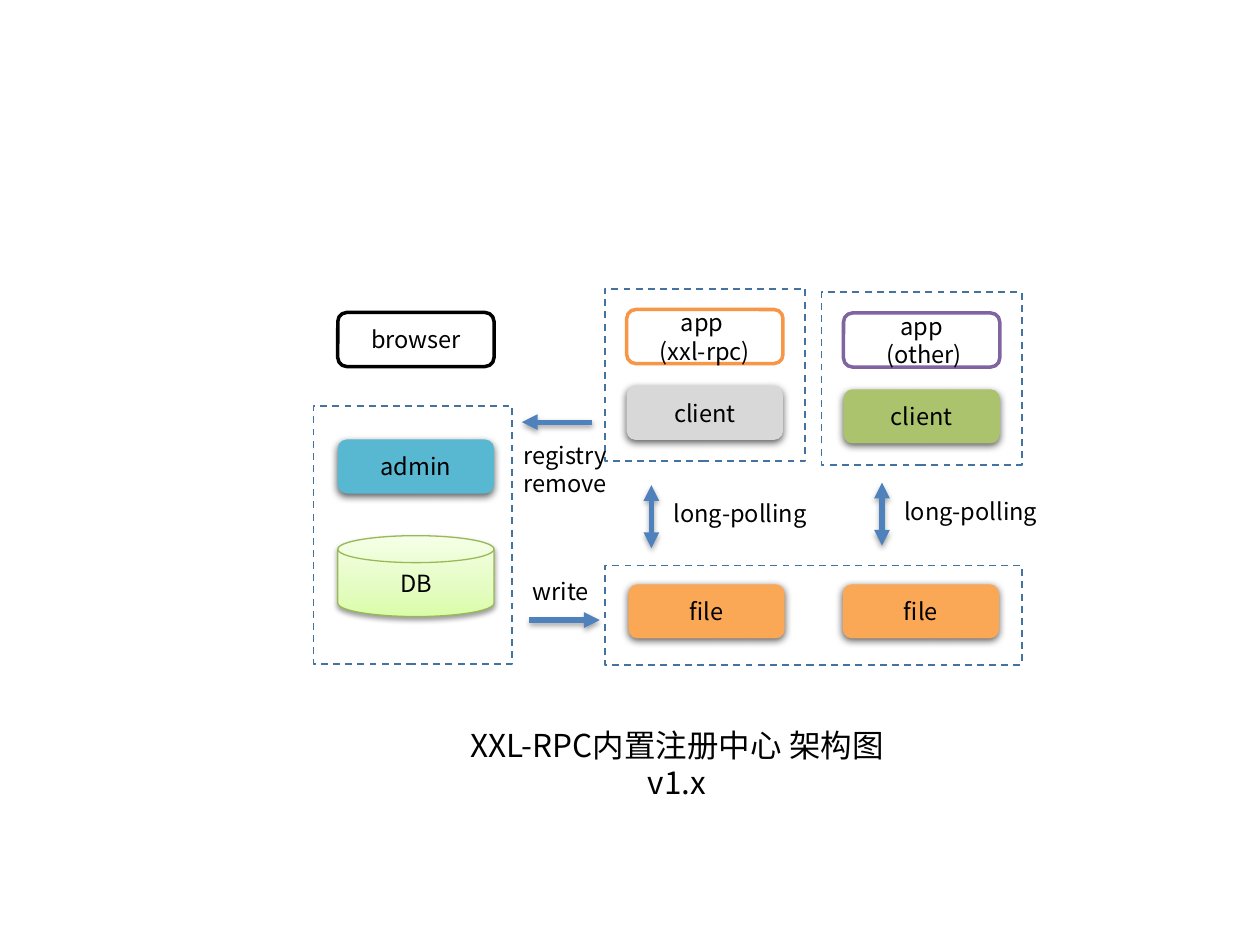
from copy import deepcopy

from lxml.etree import SubElement
from pptx import Presentation
from pptx.dml.color import RGBColor
from pptx.enum.dml import MSO_LINE
from pptx.enum.shapes import MSO_CONNECTOR, MSO_SHAPE
from pptx.enum.text import MSO_ANCHOR, MSO_AUTO_SIZE, PP_ALIGN
from pptx.oxml.ns import qn
from pptx.util import Cm, Pt

FONT = "Noto Sans CJK SC"
NODE_WIDTH, NODE_HEIGHT = 3.15, 1.09
NODE_SHADOW = (63, 4.5, 1.5)
DISK_SHADOW = (38, 3.1, 1.6)
ARROW_SHADOW = (35, 3.1, 1.8)


def color(value):
    return RGBColor.from_string(value)


def write_text(frame, text, size=13.5, align=PP_ALIGN.CENTER,
               anchor=MSO_ANCHOR.MIDDLE, wrap=True):
    frame.word_wrap = wrap
    frame.vertical_anchor = anchor
    if not wrap:
        frame.auto_size = MSO_AUTO_SIZE.SHAPE_TO_FIT_TEXT
    frame.text = text
    for paragraph in frame.paragraphs:
        paragraph.alignment = align
        paragraph.line_spacing = Pt(round(size * 1.2, 1))
        for run in paragraph.runs:
            run.font.size = Pt(size)
            run.font.name = FONT
            run.font.color.rgb = color("000000")
            SubElement(run.font._element, qn("a:ea"), typeface=FONT)


def add_shadow(properties, opacity, blur, distance):
    """Drop a black shadow straight down; blur and distance are in points."""
    effects = properties.find(qn("a:effectLst"))
    if effects is None:
        effects = SubElement(properties, qn("a:effectLst"))
    shadow = SubElement(effects, qn("a:outerShdw"), blurRad=str(Pt(blur)),
                        dist=str(Pt(distance)), dir="5400000", rotWithShape="0")
    black = SubElement(shadow, qn("a:srgbClr"), val="000000")
    SubElement(black, qn("a:alpha"), val=str(opacity * 1000))


def add_node(slide, text, left, top, fill="FFFFFF", line=None, line_width=2,
             height=NODE_HEIGHT, kind=MSO_SHAPE.FLOWCHART_ALTERNATE_PROCESS, shadow=None):
    shape = slide.shapes.add_shape(kind, Cm(left), Cm(top), Cm(NODE_WIDTH), Cm(height))
    shape.shadow.inherit = False
    shape.fill.solid()
    shape.fill.fore_color.rgb = color(fill)
    if line:
        shape.line.color.rgb = color(line)
        shape.line.width = Pt(line_width)
    else:
        shape.line.fill.background()
    if shadow:
        add_shadow(shape._element.spPr, *shadow)
    write_text(shape.text_frame, text)
    return shape


def add_frame(slide, left, top, width, height):
    frame = slide.shapes.add_shape(MSO_SHAPE.RECTANGLE, Cm(left), Cm(top), Cm(width), Cm(height))
    frame.shadow.inherit = False
    frame.fill.background()
    frame.line.color.rgb = color("43739E")
    frame.line.width = Pt(1)
    frame.line.dash_style = MSO_LINE.DASH


def add_arrow(slide, start, end, both_ends=False):
    """Draw an arrow with its head at the start, or at both ends."""
    arrow = slide.shapes.add_connector(MSO_CONNECTOR.STRAIGHT, *map(Cm, start + end))
    arrow.line.color.rgb = color("4F81BD")
    arrow.line.width = Pt(3)
    line = arrow.line._get_or_add_ln()
    for tag in ("a:headEnd", "a:tailEnd")[:2 if both_ends else 1]:
        SubElement(line, qn(tag), type="triangle")
    add_shadow(arrow._element.spPr, *ARROW_SHADOW)


def add_label(slide, text, left, top, width, height=0.84):
    label = slide.shapes.add_textbox(Cm(left), Cm(top), Cm(width), Cm(height))
    write_text(label.text_frame, text, align=PP_ALIGN.LEFT, anchor=MSO_ANCHOR.TOP, wrap=False)


def add_registry_center(slide, left, top, width, height):
    add_frame(slide, left, top, width, height)
    inner = left + 0.49
    add_node(slide, "browser", inner, top - 1.88, line="000000")
    add_node(slide, "admin", inner, top + 0.68, fill="58B8D1",
             kind=MSO_SHAPE.ROUNDED_RECTANGLE, shadow=NODE_SHADOW)
    disk = add_node(slide, "DB", inner, top + 2.62, line="98B955", line_width=0.75, height=1.63,
                    kind=MSO_SHAPE.FLOWCHART_MAGNETIC_DISK, shadow=DISK_SHADOW)
    # Three-stop gradient, running upwards
    disk.fill.gradient()
    disk.fill.gradient_angle = 90
    stop_list = disk._element.spPr.find(".//" + qn("a:gsLst"))
    stop_list.append(deepcopy(stop_list[0]))
    stops = ((0, "DAFDA7"), (0.35, "E4FCC2"), (1, "F5FFE7"))
    for stop, (position, value) in zip(disk.fill.gradient_stops, stops):
        stop.position = position
        stop.color.rgb = color(value)


def add_application(slide, left, top, width, height, name, line, client_fill):
    add_frame(slide, left, top, width, height)
    inner = left + (width - NODE_WIDTH) / 2
    add_node(slide, name, inner, top + 0.42, line=line)
    add_node(slide, "client", inner, top + 1.96, fill=client_fill, shadow=NODE_SHADOW)


def add_polling(slide, left, top):
    add_arrow(slide, (left, top), (left, top + 1.27), both_ends=True)
    add_label(slide, "long-polling", left + 0.2, top + 0.16, 3.33)


def add_file_store(slide, left, top, width, height):
    add_frame(slide, left, top, width, height)
    for offset in (0.48, 4.8):
        add_node(slide, "file", left + offset, top + 0.38, fill="FAA756", shadow=NODE_SHADOW)


def add_title(slide, left, top, width, height):
    title = slide.shapes.title
    title.left, title.top, title.width, title.height = map(Cm, (left, top, width, height))
    write_text(title.text_frame, "XXL-RPC内置注册中心 架构图\vv1.x", size=18,
               anchor=MSO_ANCHOR.TOP, wrap=False)


def main():
    presentation = Presentation()
    presentation.slide_width, presentation.slide_height = Cm(25.4), Cm(19.05)
    slide = presentation.slides.add_slide(presentation.slide_layouts[5])

    add_title(slide, 8.43, 14.5, 10.44, 1.02)
    add_registry_center(slide, 6.32, 8.18, 4.01, 5.21)
    add_application(slide, 12.19, 5.82, 4.04, 3.48, "app \n(xxl-rpc)", "F79646", "D8D8D8")
    add_application(slide, 16.56, 5.89, 4.04, 3.48, "app\n (other)", "8064A2", "ABC36C")
    add_file_store(slide, 12.19, 11.4, 8.41, 2.01)

    # Traffic between the regions
    add_polling(slide, 13.13, 9.78)
    add_polling(slide, 17.78, 9.73)
    add_arrow(slide, (10.52, 8.51), (11.94, 8.51))
    add_label(slide, "registry\nremove", 10.31, 8.76, 2.24, 1.4)
    add_arrow(slide, (12.09, 12.5), (10.67, 12.5))
    add_label(slide, "write", 10.49, 11.51, 1.63)

    presentation.save("out.pptx")


if __name__ == "__main__":
    main()
